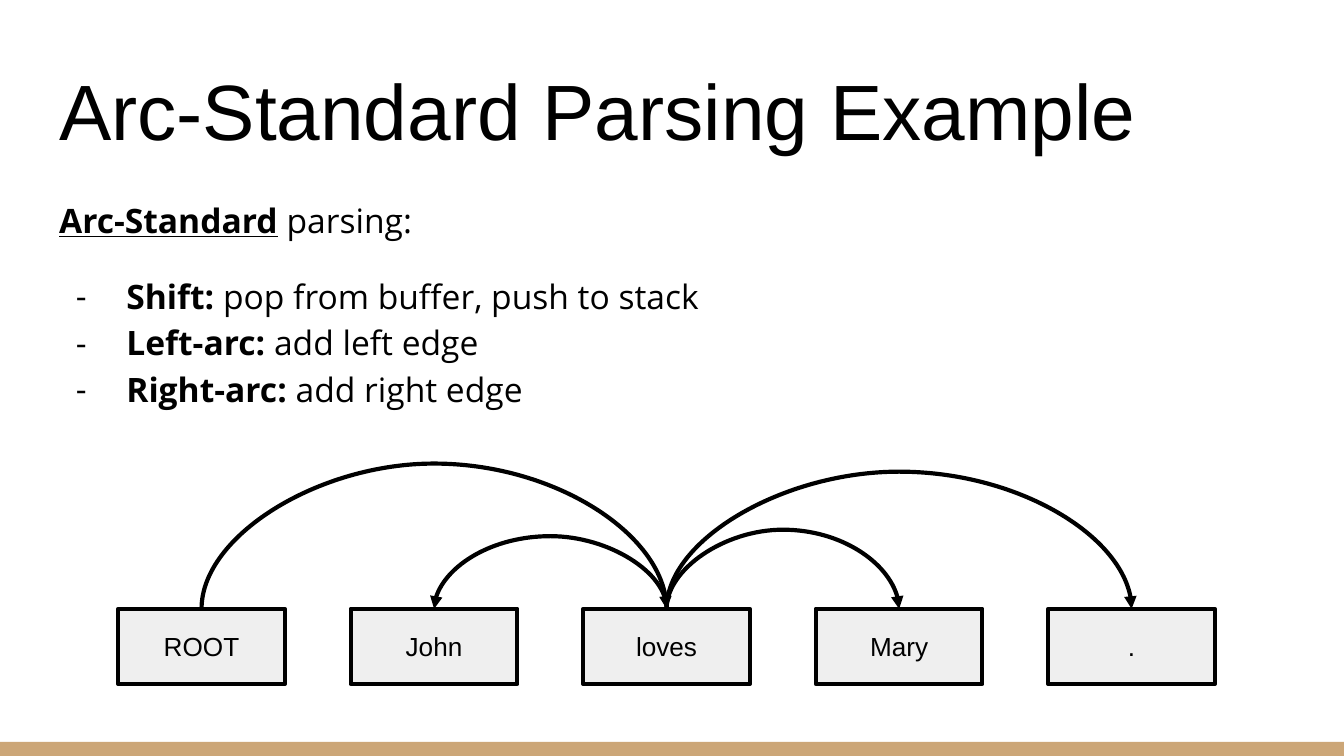
from lxml import etree
from pptx import Presentation
from pptx.dml.color import RGBColor
from pptx.enum import shapes, text
from pptx.oxml.ns import qn
from pptx.util import Emu, Inches, Pt

COLORS = {"ink": "000000", "box": "EFEFEF", "bar": "CCA677"}
TITLE = "Arc-Standard Parsing Example"
INTRO = ("Arc-Standard", " parsing:")
ACTIONS = [
    ("Shift:", " pop from buffer, push to stack"),
    ("Left-arc:", " add left edge"),
    ("Right-arc: ", "add right edge"),
]
WORDS = ["ROOT", "John", "loves", "Mary", "."]
ARCS = [(2, 3, 0.49), (2, 1, 0.45), (2, 4, 0.85), (0, 2, 0.9)]

BOX_LEFT, BOX_TOP, BOX_W, BOX_H, PITCH = 0.88, 4.53, 1.24, 0.56, 1.73
ARC_BASE = 600


def rgb(name):
    return RGBColor.from_string(COLORS[name])


def add_run(p, content, size, font, bold=False, underline=False):
    r = p.add_run()
    r.text = content
    r.font.size, r.font.name = Pt(size), font
    r.font.bold, r.font.underline = bold, underline
    r.font.color.rgb = rgb("ink")


def set_frame(tf, anchor):
    tf.word_wrap = True
    tf.auto_size = text.MSO_AUTO_SIZE.NONE
    tf.vertical_anchor = anchor
    tf.margin_left = tf.margin_right = tf.margin_top = tf.margin_bottom = Inches(0.1)


def place(sp, left, top, width, height):
    sp.left, sp.top = Inches(left), Inches(top)
    sp.width, sp.height = Inches(width), Inches(height)


def set_bullet(p, char=None):
    pPr = p._p.get_or_add_pPr()
    pPr.set("marL", str(Inches(0.5) if char else 0))
    pPr.set("indent", str(Pt(-27) if char else 0))
    if not char:
        etree.SubElement(pPr, qn("a:buNone"))
        return
    clr = etree.SubElement(pPr, qn("a:buClr"))
    etree.SubElement(clr, qn("a:srgbClr"), val=COLORS["ink"])
    etree.SubElement(pPr, qn("a:buFont"), typeface="Open Sans")
    etree.SubElement(pPr, qn("a:buChar"), char=char)


def add_rect(s, left, top, width, height, fill):
    sp = s.shapes.add_shape(shapes.MSO_SHAPE.RECTANGLE, Inches(left), Inches(top),
                            Inches(width), Inches(height))
    sp.shadow.inherit = False
    sp.fill.solid()
    sp.fill.fore_color.rgb = rgb(fill)
    sp.line.fill.background()
    return sp


def add_word(s, i, word):
    sp = add_rect(s, BOX_LEFT + i * PITCH, BOX_TOP, BOX_W, BOX_H, "box")
    sp.line.color.rgb = rgb("ink")
    sp.line.width = Pt(2.25)
    set_frame(sp.text_frame, text.MSO_ANCHOR.MIDDLE)
    p = sp.text_frame.paragraphs[0]
    p.alignment = text.PP_ALIGN.CENTER
    add_run(p, word, 14, "Arial")
    return sp


def add_arc(s, boxes, start, end, rise):
    x1, x2 = (boxes[i].left + boxes[i].width // 2 for i in (start, end))
    y, span = Inches(BOX_TOP), abs(x2 - x1)
    c = s.shapes.add_connector(shapes.MSO_CONNECTOR.CURVE, x1, y, x2, y)
    c.begin_connect(boxes[start], 0)
    c.end_connect(boxes[end], 0)
    c.left, c.top = Emu((x1 + x2 - ARC_BASE) // 2), Emu(y - span // 2)
    c.width, c.height = Emu(ARC_BASE), Emu(span)
    c.line.color.rgb = rgb("ink")
    c.line.width = Pt(2.25)
    spPr = c._element.spPr
    xfrm = spPr.find(qn("a:xfrm"))
    for name in ("flipH", "flipV"):
        xfrm.attrib.pop(name, None)
    xfrm.set("rot", "16200000" if x2 > x1 else "5400000")
    if x2 > x1:
        xfrm.set("flipH", "1")
    adj = -round(Inches(rise) / ARC_BASE * 100000)
    etree.SubElement(spPr.find(qn("a:prstGeom")).find(qn("a:avLst")), qn("a:gd"),
                     name="adj1", fmla=f"val {adj}")
    etree.SubElement(spPr.find(qn("a:ln")), qn("a:tailEnd"), type="triangle")
    etree.SubElement(spPr, qn("a:effectLst"))


def main():
    prs = Presentation()
    prs.slide_width = Inches(10)
    prs.slide_height = prs.slide_width * 9 // 16
    s = prs.slides.add_slide(prs.slide_layouts[1])
    add_rect(s, 0, 5.52, 10, 0.11, "bar")

    title, body = s.shapes.title, s.placeholders[1]
    place(title, 0.34, 0.35, 9.32, 0.91)
    set_frame(title.text_frame, text.MSO_ANCHOR.BOTTOM)
    p = title.text_frame.paragraphs[0]
    p.alignment = text.PP_ALIGN.LEFT
    add_run(p, TITLE, 42, "Arial")

    place(body, 0.34, 1.34, 9.32, 3.67)
    tf = body.text_frame
    set_frame(tf, text.MSO_ANCHOR.TOP)
    for i, (term, meaning) in enumerate([INTRO] + ACTIONS):
        p = tf.add_paragraph() if i else tf.paragraphs[0]
        set_bullet(p, "-" if i else None)
        p.line_spacing = 1.15
        p.space_before = Pt(16 if i == 1 else 0)
        add_run(p, term, 18, "Open Sans", bold=True, underline=i == 0)
        add_run(p, meaning, 18, "Open Sans")

    boxes = [add_word(s, i, word) for i, word in enumerate(WORDS)]
    for start, end, rise in ARCS:
        add_arc(s, boxes, start, end, rise)
    prs.save("out.pptx")


if __name__ == "__main__":
    main()
